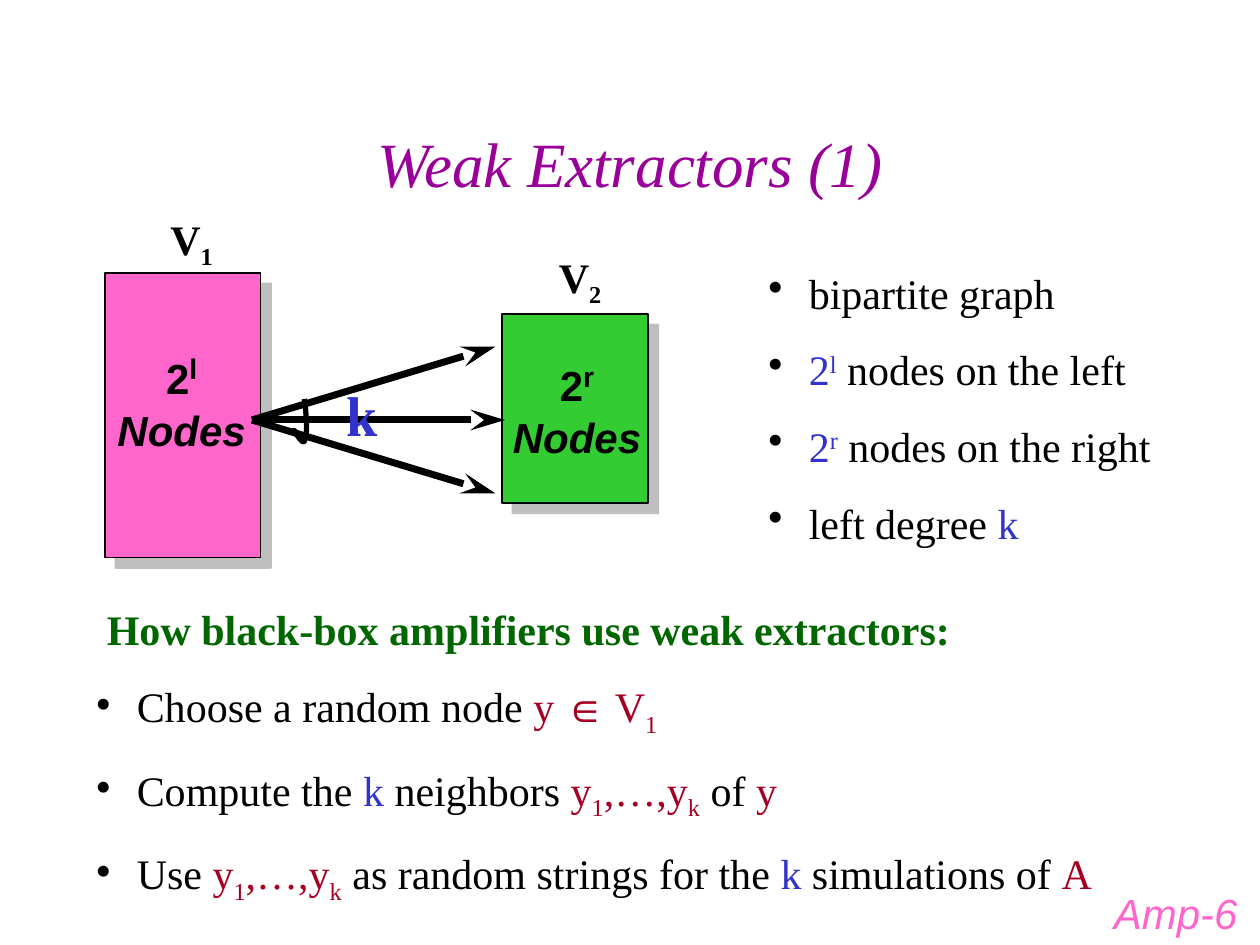
from dataclasses import dataclass

from lxml.etree import SubElement
from pptx import Presentation
from pptx.dml.color import RGBColor
from pptx.enum.shapes import MSO_CONNECTOR, MSO_SHAPE
from pptx.enum.text import MSO_ANCHOR, PP_ALIGN
from pptx.oxml.ns import qn
from pptx.util import Inches, Pt

BLACK = RGBColor(0x00, 0x00, 0x00)
PURPLE = RGBColor(0x99, 0x00, 0x99)
PINK = RGBColor(0xFF, 0x66, 0xCC)
LEAF = RGBColor(0x33, 0xCC, 0x33)
GREEN = RGBColor(0x00, 0x66, 0x00)
BLUE = RGBColor(0x33, 0x33, 0xCC)
RED = RGBColor(0xA5, 0x00, 0x21)
SERIF, SANS = "Times New Roman", "Arial"
SUPER, SUB = 30000, -25000
BULLET_INDENT = 3.85


def grid(cells):
    """Length of grid cells: the slide has 120 columns and 90 rows."""
    return Inches(cells / 12)


@dataclass
class Box:
    column: float
    row: float
    columns: float
    rows: float

    def inner(self, column, row, columns, rows):
        return Box(self.column + column, self.row + row, columns, rows)

    def point(self, column, row):
        return grid(self.column + column), grid(self.row + row)

    def lengths(self):
        return [grid(n) for n in (self.column, self.row, self.columns, self.rows)]


def add_runs(paragraph, runs):
    """Each run is plain text or (text, colour, baseline, font changes)."""
    for item in runs:
        text, colour, baseline, changes = ((item,) if isinstance(item, str) else item) + (None,) * (
            3 if isinstance(item, str) else 4 - len(item))
        run = paragraph.add_run()
        run.text = text
        if colour is not None:
            run.font.color.rgb = colour
        if baseline:
            run._r.get_or_add_rPr().set("baseline", str(baseline))
        for name, value in (changes or {}).items():
            setattr(run.font, name, value)


def style(paragraph, size=24, font=SERIF, colour=BLACK, bold=False, italic=False):
    paragraph.font.size = Pt(size)
    paragraph.font.name = font
    paragraph.font.color.rgb = colour
    paragraph.font.bold = bold
    paragraph.font.italic = italic


def add_text(slide, box, runs, anchor=MSO_ANCHOR.TOP, align=PP_ALIGN.CENTER, wrap=True, **look):
    frame = slide.shapes.add_textbox(*box.lengths()).text_frame
    frame.word_wrap = wrap
    frame.vertical_anchor = anchor
    paragraph = frame.paragraphs[0]
    paragraph.alignment = align
    style(paragraph, **look)
    add_runs(paragraph, runs)


def add_list(slide, box, items, heading=None):
    frame = slide.shapes.add_textbox(*box.lengths()).text_frame
    frame.word_wrap = True
    frame.vertical_anchor = MSO_ANCHOR.MIDDLE
    lines = ([[heading]] if heading else []) + items
    for index, runs in enumerate(lines):
        paragraph = frame.add_paragraph() if index else frame.paragraphs[0]
        if index:
            paragraph.space_before = Pt(15)
        properties = paragraph._p.get_or_add_pPr()
        if heading and index == 0:
            properties.set("marL", str(grid(1)))
            style(paragraph, colour=GREEN, bold=True)
        else:
            properties.set("marL", str(grid(BULLET_INDENT)))
            properties.set("indent", str(-grid(BULLET_INDENT)))
            colour = SubElement(properties, qn("a:buClr"))
            SubElement(colour, qn("a:srgbClr"), val=str(BLACK))
            SubElement(properties, qn("a:buChar"), char="•")
            style(paragraph)
        add_runs(paragraph, runs)


def add_node_set(slide, box, fill):
    shape = slide.shapes.add_shape(MSO_SHAPE.RECTANGLE, *box.lengths())
    shape.fill.solid()
    shape.fill.fore_color.rgb = fill
    shape.line.color.rgb = BLACK
    shape.line.width = Pt(1)
    # Grey shadow towards the lower right
    effects = SubElement(shape._element.spPr, qn("a:effectLst"))
    shadow = SubElement(effects, qn("a:outerShdw"), dist=str(Pt(8.5)), dir="2700000")
    colour = SubElement(shadow, qn("a:srgbClr"), val="808080")
    SubElement(colour, qn("a:alpha"), val="50000")


def add_arrow(slide, start, end):
    arrow = slide.shapes.add_connector(MSO_CONNECTOR.STRAIGHT, *start, *end)
    arrow.line.color.rgb = BLACK
    arrow.line.width = Pt(4)
    SubElement(arrow.line._get_or_add_ln(), qn("a:tailEnd"), type="stealth", w="med", len="lg")
    SubElement(arrow._element.spPr, qn("a:effectLst"))


def curve(start, first, second, end, steps=8):
    """Points along a cubic curve, after its start."""
    for step in range(1, steps + 1):
        t = step / steps
        weights = ((1 - t) ** 3, 3 * t * (1 - t) ** 2, 3 * t * t * (1 - t), t ** 3)
        yield tuple(sum(w * p[axis] for w, p in zip(weights, (start, first, second, end)))
                    for axis in (0, 1))


def add_degree_mark(slide, box):
    top, bottom, barb = (19, 19), (19, 23), (18, 22)
    points = [*curve(top, (19.2, 20.7), (19.3, 22.5), bottom),
              *curve(bottom, (18.9, 23.5), barb, barb),
              *curve(barb, barb, (18.6, 22.5), bottom)]
    builder = slide.shapes.build_freeform(*box.point(*top))
    builder.add_line_segments([box.point(*point) for point in points], close=False)
    mark = builder.convert_to_shape()
    mark.fill.background()
    mark.line.color.rgb = BLACK
    mark.line.width = Pt(3)
    mark.shadow.inherit = False


def add_graph(slide, box):
    # Node sets
    add_node_set(slide, box.inner(0, 7, 14.8, 27.1), PINK)
    add_node_set(slide, box.inner(37.8, 10.9, 13.9, 18), LEAF)
    for place, exponent in ((box.inner(-1.1, 13.3, 16.8, 11.6), "l "),
                            (box.inner(36, 14, 17.9, 11.6), "r ")):
        add_text(slide, place, ["2", (exponent, None, SUPER, {"size": Pt(28)}),
                                ("Nodes", None, None, {"italic": True})], font=SANS, bold=True)
    # Edges from one left node
    for end in ((37.2, 28), (37.2, 14), (38.1, 21)):
        add_arrow(slide, box.point(14, 21), box.point(*end))
    add_degree_mark(slide, box)
    add_text(slide, box.inner(21, 16.6, 7, 7.7), ["k"], MSO_ANCHOR.MIDDLE,
             size=32, colour=BLUE, bold=True)
    # Set names
    for column, row, number in ((5, 0.7, "1"), (42, 4.3, "2")):
        add_text(slide, box.inner(column, row, 6.5, 6.7), ["V", (number, None, SUB)],
                 MSO_ANCHOR.MIDDLE, wrap=False, bold=True)


def add_title(slide, box, text):
    title = slide.shapes.title
    title.left, title.top, title.width, title.height = box.lengths()
    title.text_frame.vertical_anchor = MSO_ANCHOR.MIDDLE
    paragraph = title.text_frame.paragraphs[0]
    paragraph.alignment = PP_ALIGN.CENTER
    style(paragraph, size=36, colour=PURPLE, italic=True)
    add_runs(paragraph, [text])


def main():
    presentation = Presentation()
    presentation.slide_width, presentation.slide_height = grid(120), grid(90)
    slide = presentation.slides.add_slide(presentation.slide_layouts[5])

    add_title(slide, Box(9, 8, 102, 15), "Weak Extractors (1)")
    add_graph(slide, Box(10, 19, 54, 36))

    # Properties of the graph
    add_list(slide, Box(72, 24.8, 40, 28), [
        ["bipartite graph"],
        [("2", BLUE), ("l", BLUE, SUPER), " nodes on the left"],
        [("2", BLUE), ("r", BLUE, SUPER), " nodes on the right"],
        ["left degree ", ("k", BLUE)],
    ])

    # Use in amplifiers
    neighbors = [("y", RED), ("1", RED, SUB), (",…,y", RED), ("k", RED, SUB)]
    add_list(slide, Box(8, 56.9, 101, 29.9), [
        ["Choose a random node ", ("y ", RED), ("∈", RED, None, {"name": SANS}),
         (" ", RED, None, {"size": Pt(18)}), ("V", RED), ("1", RED, SUB)],
        ["Compute the ", ("k", BLUE), " neighbors ", *neighbors, " of ", ("y", RED)],
        ["Use ", *neighbors, " as random strings for the ", ("k", BLUE),
         " simulations of ", ("A", RED)],
    ], heading="How black-box amplifiers use weak extractors:")

    # Page mark
    add_text(slide, Box(104.9, 83.9, 15.1, 6), ["Amp-6"], align=PP_ALIGN.LEFT,
             font=SANS, colour=PINK, italic=True)
    presentation.save("out.pptx")


if __name__ == "__main__":
    main()
